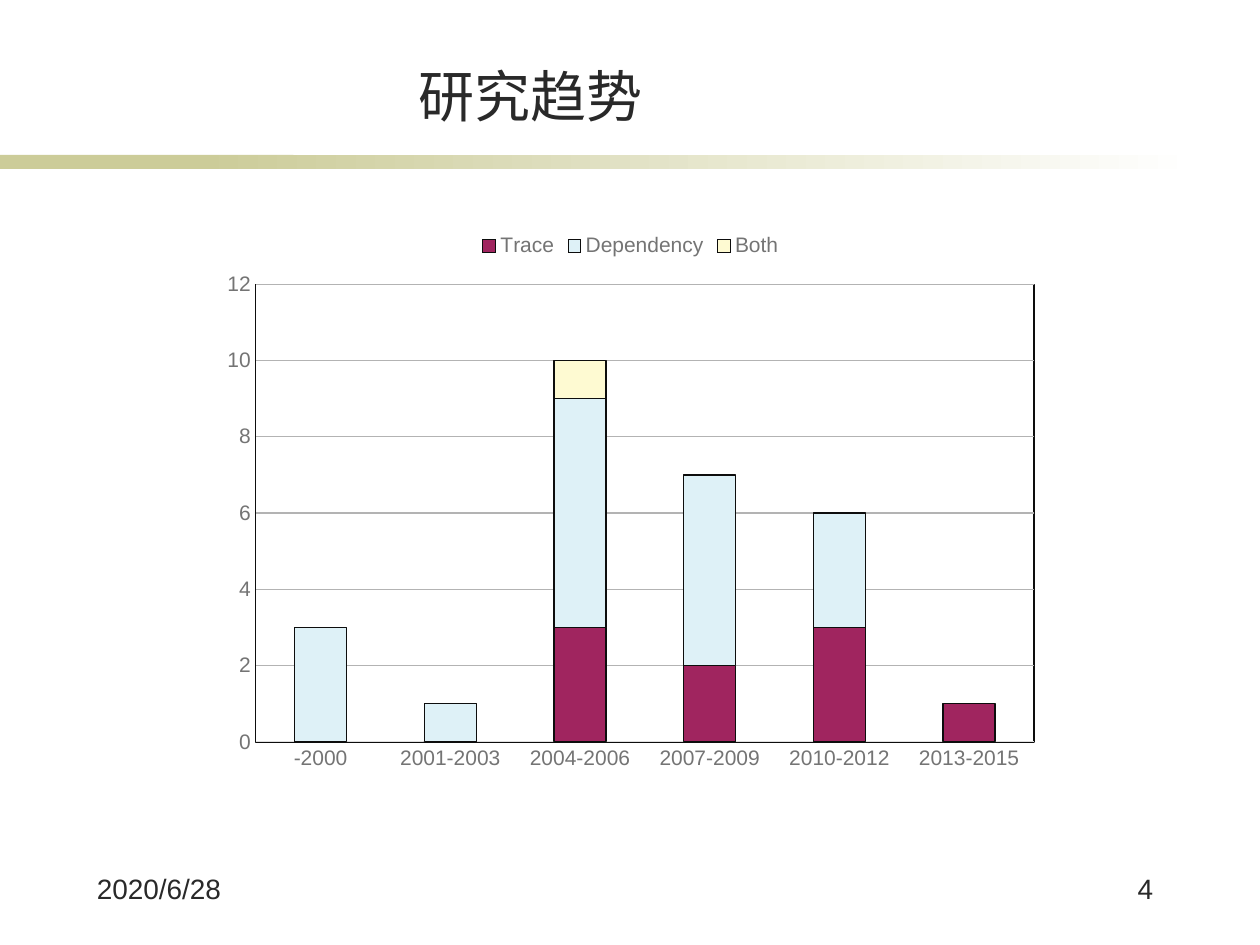
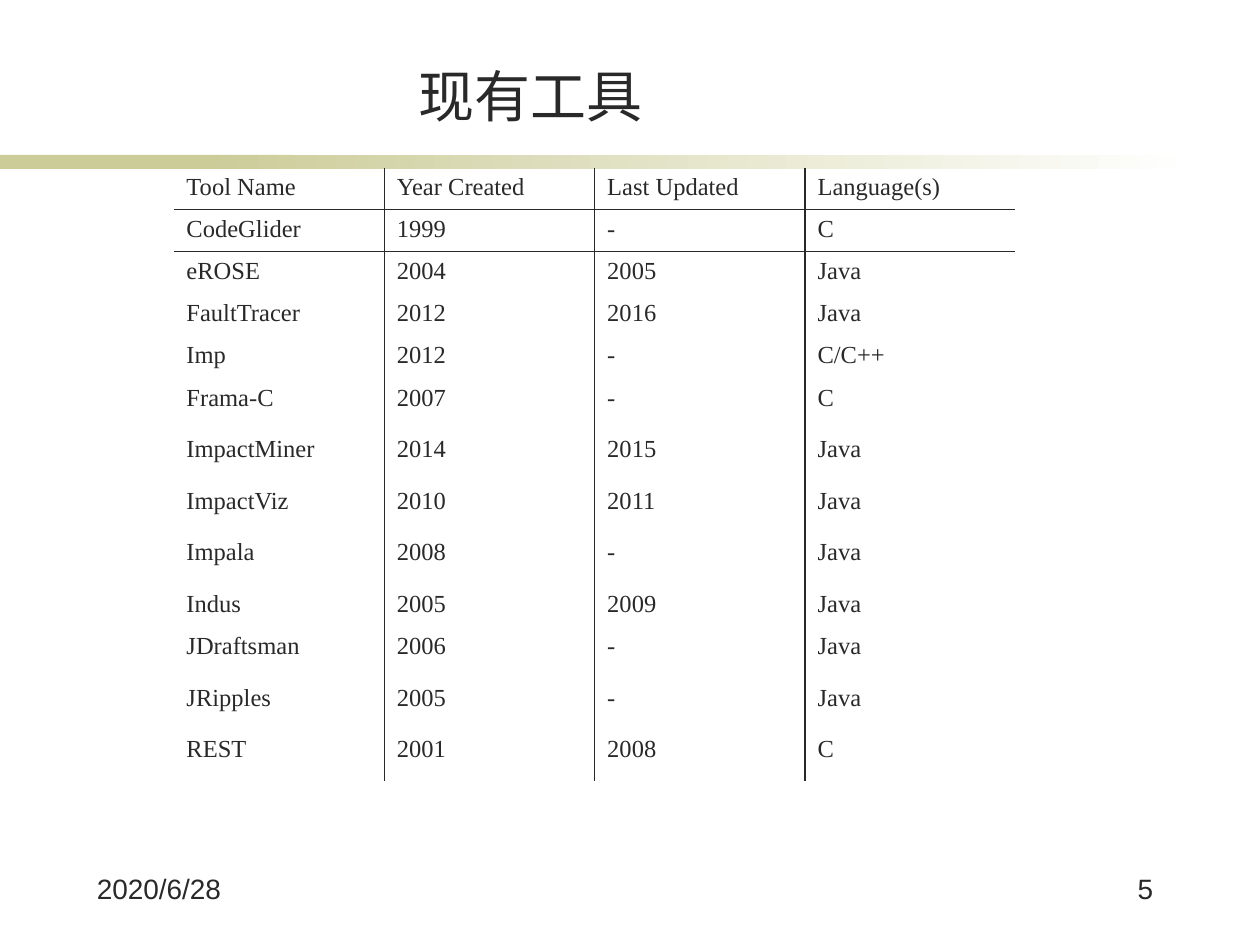
"""Build two slides: a stacked chart of research trends and a table of existing tools."""
from lxml.etree import SubElement as Sub
from pptx import Presentation
from pptx.chart.data import CategoryChartData
from pptx.dml.color import RGBColor
from pptx.enum.chart import XL_CHART_TYPE as ChartType, XL_LEGEND_POSITION as LegendPos
from pptx.enum.chart import XL_TICK_MARK as Tick
from pptx.enum.shapes import MSO_SHAPE as Shape
from pptx.enum.text import MSO_ANCHOR as Anchor, MSO_AUTO_SIZE as AutoSize, PP_ALIGN as Align
from pptx.oxml import parse_xml
from pptx.oxml.ns import nsdecls, qn
from pptx.util import Inches, Pt

COLORS = {"text": "292929", "band": "CCCC99", "white": "FFFFFF", "label": "747474",
          "axis": "DFDFDF", "grid": "B3B3B3", "outline": "0D0D0D"}
SANS, SERIF = "Arial", "Times New Roman"
DATE = "2020/6/28"
FIRST_NUMBER = 4
TITLES = ["研究趋势", "现有工具"]

PERIODS = ["-2000", "2001-2003", "2004-2006", "2007-2009", "2010-2012", "2013-2015"]
SERIES = [
    ("Trace", "A0255F", (0, 0, 3, 2, 3, 1)),
    ("Dependency", "DEF1F7", (3, 1, 6, 5, 3, 0)),
    ("Both", "FEFAD2", (0, 0, 1, 0, 0, 0)),
]
PLOT_SHARE = {"x": 0.054, "y": 0.114, "w": 0.926, "h": 0.818}

TOOLS = [
    ("Tool Name", "Year Created", "Last Updated", "Language(s)"),
    ("CodeGlider", "1999", "-", "C"),
    ("eROSE", "2004", "2005", "Java"),
    ("FaultTracer", "2012", "2016", "Java"),
    ("Imp", "2012", "-", "C/C++"),
    ("Frama-C", "2007", "-", "C"),
    ("ImpactMiner", "2014", "2015", "Java"),
    ("ImpactViz", "2010", "2011", "Java"),
    ("Impala", "2008", "-", "Java"),
    ("Indus", "2005", "2009", "Java"),
    ("JDraftsman", "2006", "-", "Java"),
    ("JRipples", "2005", "-", "Java"),
    ("REST", "2001", "2008", "C"),
]
RULED_ROWS = 2
TALL_ROWS = {5, 6, 7, 8, 10, 11, 12}
LOW, TALL, COL_WIDTH = 0.31, 0.41, 1.67


def rgb(name):
    return RGBColor.from_string(COLORS.get(name, name))


def box(*lengths):
    return [Inches(v) for v in lengths]


def set_font(font, size, color="text", name=SANS):
    font.size, font.name, font.color.rgb = Pt(size), name, rgb(color)


def set_line(line, color):
    line.color.rgb, line.width = rgb(color), Pt(0.75)


def add_label(slide, text, place, align):
    tf = slide.shapes.add_textbox(*box(*place)).text_frame
    tf.word_wrap = True
    p = tf.paragraphs[0]
    p.text, p.alignment = text, align
    set_font(p.font, 16)


def add_band(slide, left, width, fade):
    sp = slide.shapes.add_shape(Shape.RECTANGLE, *box(left, 1.23, width, 0.11))
    sp.shadow.inherit = False
    sp.line.fill.background()
    if fade:
        sp.fill.gradient()
        sp.fill.gradient_angle = 0
        for stop, color, at in zip(sp.fill.gradient_stops, ("band", "white"), (0, 1)):
            stop.color.rgb, stop.position = rgb(color), at
    else:
        sp.fill.solid()
        sp.fill.fore_color.rgb = rgb("band")


def add_slide(prs, title, number):
    slide = prs.slides.add_slide(prs.slide_layouts[5])
    add_band(slide, 0, 2.33, False)
    add_band(slide, 1.58, 7.92, True)
    sp = slide.shapes.title
    sp.left, sp.top, sp.width, sp.height = box(1.14, 0.44, 6.14, 0.63)
    tf = sp.text_frame
    tf.text, tf.vertical_anchor, tf.auto_size = title, Anchor.BOTTOM, AutoSize.NONE
    p = tf.paragraphs[0]
    p.alignment = Align.CENTER
    set_font(p.font, 32)
    add_label(slide, DATE, (0.67, 6.87, 1.41, 0.5), Align.LEFT)
    add_label(slide, str(number), (8.23, 6.87, 1.02, 0.5), Align.RIGHT)
    return slide


def frame_plot(chart):
    area = chart.plots[0]._element.getparent()
    for old in area.findall(qn("c:layout")):
        area.remove(old)
    layout = parse_xml(f"<c:layout {nsdecls('c')}/>")
    manual = Sub(layout, qn("c:manualLayout"))
    settings = {"layoutTarget": "inner", "xMode": "edge", "yMode": "edge", **PLOT_SHARE}
    for tag, value in settings.items():
        Sub(manual, qn(f"c:{tag}")).set("val", str(value))
    area.insert(0, layout)
    area.append(parse_xml(
        f'<c:spPr {nsdecls("c", "a")}><a:noFill/><a:ln w="9525"><a:solidFill>'
        f'<a:srgbClr val="{COLORS["outline"]}"/></a:solidFill></a:ln></c:spPr>'))


def add_trend_chart(slide):
    data = CategoryChartData()
    data.categories = PERIODS
    for name, _, values in SERIES:
        data.add_series(name, values)
    chart = slide.shapes.add_chart(ChartType.COLUMN_STACKED,
                                   *box(1.67, 1.75, 6.67, 4.44), data).chart
    set_font(chart.font, 10)
    chart.has_title = False
    chart.has_legend = True
    chart.legend.position = LegendPos.TOP
    chart.legend.include_in_layout = False
    set_font(chart.legend.font, 12, "label")
    plot = chart.plots[0]
    plot.gap_width, plot.overlap, plot.vary_by_categories = 150, 100, False
    for series, (_, color, _) in zip(plot.series, SERIES):
        series.format.fill.solid()
        series.format.fill.fore_color.rgb = rgb(color)
        set_line(series.format.line, "outline")
    for axis in (chart.category_axis, chart.value_axis):
        axis.major_tick_mark = axis.minor_tick_mark = Tick.NONE
        set_font(axis.tick_labels.font, 12, "label")
    set_line(chart.category_axis.format.line, "axis")
    values = chart.value_axis
    values.minimum_scale, values.maximum_scale, values.major_unit = 0, 12, 2
    values.format.line.fill.background()
    set_line(values.major_gridlines.format.line, "grid")
    frame_plot(chart)


def set_borders(cell, shown):
    for side in "LRTB":
        ln = Sub(cell._tc.get_or_add_tcPr(), qn(f"a:ln{side}"), w=str(Pt(1)))
        if side in shown:
            Sub(Sub(ln, qn("a:solidFill")), qn("a:srgbClr"), val=COLORS["text"])
        else:
            Sub(ln, qn("a:noFill"))


def add_tool_table(slide):
    rows, cols = len(TOOLS), len(TOOLS[0])
    heights = [TALL if r in TALL_ROWS else LOW for r in range(rows)]
    table = slide.shapes.add_table(
        rows, cols, *box(1.38, 1.33, cols * COL_WIDTH, sum(heights))).table
    table.first_row = table.horz_banding = False
    for column in table.columns:
        column.width = Inches(COL_WIDTH)
    for r, (values, height) in enumerate(zip(TOOLS, heights)):
        table.rows[r].height = Inches(height)
        for c, value in enumerate(values):
            cell = table.cell(r, c)
            sides = {"L": c > 0, "R": c < cols - 1,
                     "T": 0 < r <= RULED_ROWS, "B": r < RULED_ROWS}
            set_borders(cell, [side for side, on in sides.items() if on])
            cell.fill.background()
            cell.text = value
            p = cell.text_frame.paragraphs[0]
            p.alignment = Align.LEFT
            set_font(p.font, 14, name=SERIF)


def main():
    prs = Presentation()
    prs.slide_width, prs.slide_height = box(10, 7.5)
    builders = [add_trend_chart, add_tool_table]
    for number, (title, build) in enumerate(zip(TITLES, builders), FIRST_NUMBER):
        build(add_slide(prs, title, number))
    prs.save("out.pptx")


if __name__ == "__main__":
    main()
